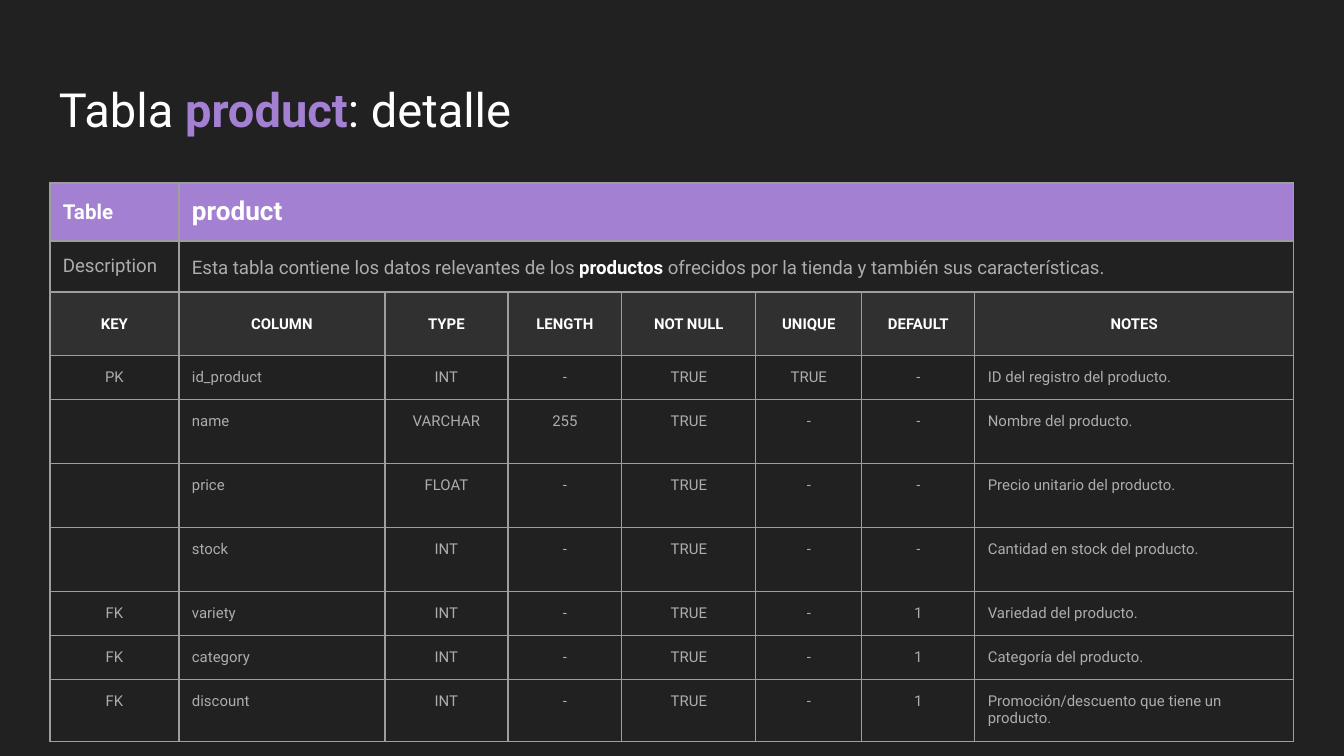
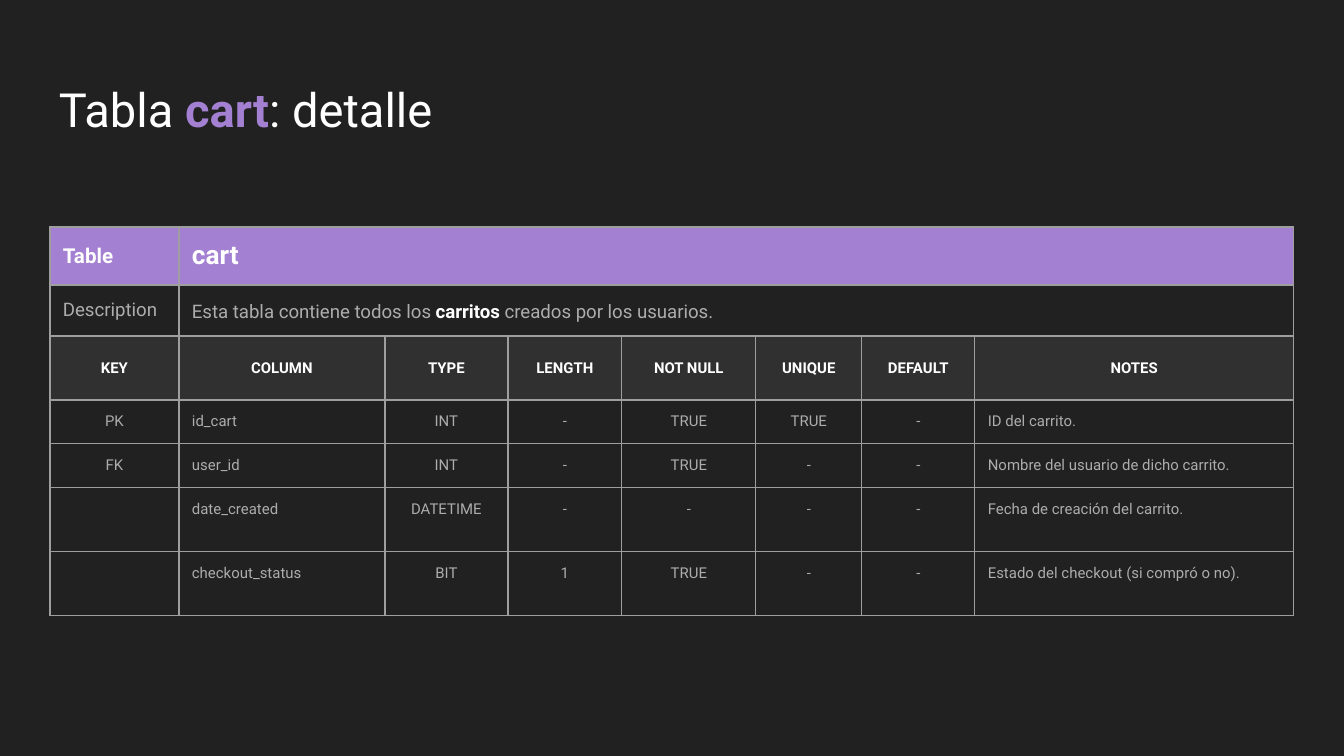
from lxml import etree
from pptx import Presentation
from pptx import util as u
from pptx.dml.color import RGBColor
from pptx.enum import text
from pptx.oxml.ns import qn

PX = 914400 / 134.4
FONT = "Roboto"
BACK, PURPLE, HEAD = "212121", "A380D1", "303030"
WHITE, GREY, LINE = "FFFFFF", "ADADAD", "9E9E9E"
LEFT, CENTER = text.PP_ALIGN.LEFT, text.PP_ALIGN.CENTER
TOP, MIDDLE = text.MSO_ANCHOR.TOP, text.MSO_ANCHOR.MIDDLE

# Table grid
COLS = [129, 206, 123, 114, 134, 106, 113, 319]
HEADS = ["KEY", "COLUMN", "TYPE", "LENGTH", "NOT NULL", "UNIQUE", "DEFAULT", "NOTES"]
ALIGNS = [CENTER, LEFT] + [CENTER] * 5 + [LEFT]
TOP_ROWS = [58, 51, 64]
KEY_ROW, PLAIN_ROW = 44, 64
INSET = 13

# Highlighted words stand between asterisks
PRODUCT_TEXT = ("Esta tabla contiene los datos relevantes de los *productos* "
                "ofrecidos por la tienda y también sus características.")
PRODUCT_FIELDS = [
    ("PK", "id_product", "INT", "-", "TRUE", "TRUE", "-", "ID del registro del producto."),
    ("", "name", "VARCHAR", "255", "TRUE", "-", "-", "Nombre del producto."),
    ("", "price", "FLOAT", "-", "TRUE", "-", "-", "Precio unitario del producto."),
    ("", "stock", "INT", "-", "TRUE", "-", "-", "Cantidad en stock del producto."),
    ("FK", "variety", "INT", "-", "TRUE", "-", "1", "Variedad del producto."),
    ("FK", "category", "INT", "-", "TRUE", "-", "1", "Categoría del producto."),
    ("FK", "discount", "INT", "-", "TRUE", "-", "1",
     "Promoción/descuento que tiene un producto."),
]
CART_TEXT = "Esta tabla contiene todos los *carritos* creados por los usuarios."
CART_FIELDS = [
    ("PK", "id_cart", "INT", "-", "TRUE", "TRUE", "-", "ID del carrito."),
    ("FK", "user_id", "INT", "-", "TRUE", "-", "-", "Nombre del usuario de dicho carrito."),
    ("", "date_created", "DATETIME", "-", "-", "-", "-", "Fecha de creación del carrito."),
    ("", "checkout_status", "BIT", "1", "TRUE", "-", "-",
     "Estado del checkout (si compró o no)."),
]


def px(n):
    return u.Emu(round(n * PX))


def rgb(value):
    return RGBColor.from_string(value)


def write(p, words, size, color, bold=False, align=LEFT, accent=WHITE):
    p.alignment = align
    p.font.name, p.font.size, p.font.bold = FONT, u.Pt(size), bold
    p.font.color.rgb = rgb(color)
    if not words:
        p._p.get_or_add_endParaRPr().set("sz", str(size * 100))
        return
    for i, part in enumerate(words.split("*")):
        r = p.add_run()
        r.text = part
        if i % 2:
            r.font.bold = True
            r.font.color.rgb = rgb(accent)


def add_title(s, words):
    sp = s.shapes.title
    sp.left, sp.top, sp.width, sp.height = px(46), px(66), px(1253), px(85)
    tf = sp.text_frame
    tf.margin_left = tf.margin_right = tf.margin_top = tf.margin_bottom = px(INSET)
    tf.word_wrap, tf.vertical_anchor = True, MIDDLE
    tf.auto_size = text.MSO_AUTO_SIZE.NONE
    write(tf.paragraphs[0], words, 25.2, WHITE, accent=PURPLE)


def style_cell(cell, fill, anchor):
    cell.margin_left = cell.margin_right = px(INSET)
    cell.margin_top = cell.margin_bottom = px(INSET)
    cell.vertical_anchor = anchor
    if fill:
        cell.fill.solid()
        cell.fill.fore_color.rgb = rgb(fill)
    else:
        cell.fill.background()
    # Borders go before the fill
    tc_pr = cell._tc.get_or_add_tcPr()
    for i, side in enumerate(("a:lnL", "a:lnR", "a:lnT", "a:lnB")):
        ln = etree.Element(qn(side), w=str(u.Pt(0.75)))
        solid = etree.SubElement(ln, qn("a:solidFill"))
        etree.SubElement(solid, qn("a:srgbClr"), val=LINE)
        tc_pr.insert(i, ln)


def add_field_table(s, top, name, description, fields, last_row):
    heights = TOP_ROWS + [KEY_ROW if f[0] else PLAIN_ROW for f in fields]
    heights[-1] = last_row
    frame = s.shapes.add_table(len(heights), len(COLS), px(50), px(top),
                               px(sum(COLS)), px(sum(heights)))
    table = frame.table
    table.first_row = table.horz_banding = False
    for column, width in zip(table.columns, COLS):
        column.width = px(width)
    for row, height in zip(table.rows, heights):
        row.height = px(height)

    fills = [PURPLE, None, HEAD] + [None] * len(fields)
    for i, fill in enumerate(fills):
        for j in range(len(COLS)):
            style_cell(table.cell(i, j), fill, MIDDLE if i < 3 else TOP)

    def para(i, j):
        return table.cell(i, j).text_frame.paragraphs[0]

    # Name and description
    for i in range(2):
        table.cell(i, 1).merge(table.cell(i, len(COLS) - 1))
    write(para(0, 0), "Table", 11, WHITE, True)
    write(para(0, 1), name, 14, WHITE, True)
    write(para(1, 0), "Description", 10, GREY)
    p = para(1, 1)
    p.line_spacing, p.space_after = 1.15, u.Pt(12)
    write(p, description, 10, GREY)

    # Column heads and fields
    for j, head in enumerate(HEADS):
        write(para(2, j), head, 8, WHITE, True, CENTER)
    for i, field in enumerate(fields, 3):
        for j, value in enumerate(field):
            write(para(i, j), value, 8, GREY, align=ALIGNS[j])


def add_detail_slide(prs, top, name, description, fields, last_row):
    s = prs.slides.add_slide(prs.slide_layouts[5])
    add_title(s, f"Tabla *{name}*: detalle")
    add_field_table(s, top, name, description, fields, last_row)


def main():
    prs = Presentation()
    prs.slide_width, prs.slide_height = px(1344), px(756)
    fill = prs.slide_master.background.fill
    fill.solid()
    fill.fore_color.rgb = rgb(BACK)
    add_detail_slide(prs, 183, "product", PRODUCT_TEXT, PRODUCT_FIELDS, 62)
    add_detail_slide(prs, 227, "cart", CART_TEXT, CART_FIELDS, PLAIN_ROW)
    prs.save("out.pptx")


if __name__ == "__main__":
    main()
